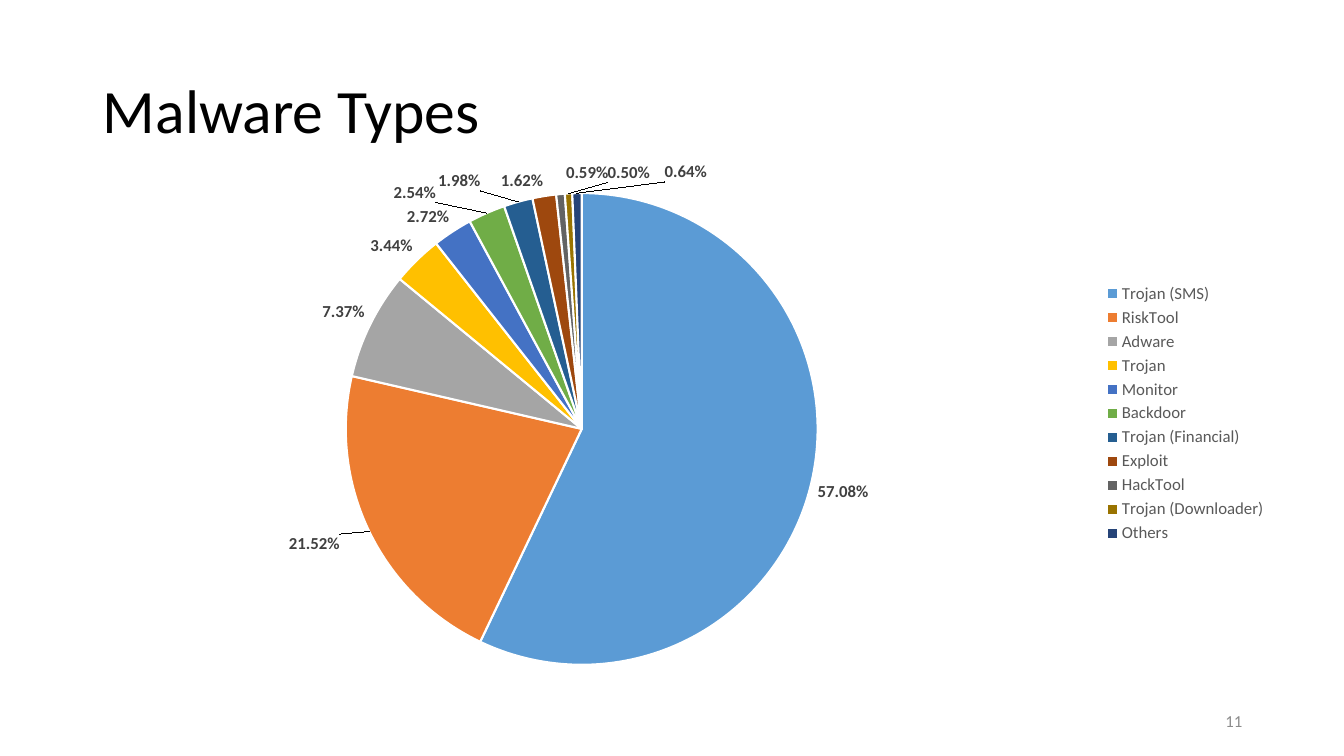
"""Build the Malware Types slide with its pie chart."""
from copy import deepcopy
from lxml.etree import QName, SubElement
from pptx import Presentation
from pptx.chart.data import CategoryChartData
from pptx.dml.color import RGBColor
from pptx.enum.chart import XL_CHART_TYPE, XL_LABEL_POSITION, XL_LEGEND_POSITION
from pptx.enum.text import MSO_ANCHOR, PP_ALIGN
from pptx.oxml.ns import qn
from pptx.util import Inches, Pt

TITLE = "Malware Types"
PAGE = "11"
FACE = "Calibri"
TYPES = [
    ("Trojan (SMS)", 57.08, "5B9BD5"),
    ("RiskTool", 21.52, "ED7D31"),
    ("Adware", 7.37, "A5A5A5"),
    ("Trojan", 3.44, "FFC000"),
    ("Monitor", 2.72, "4472C4"),
    ("Backdoor", 2.54, "70AD47"),
    ("Trojan (Financial)", 1.98, "255E91"),
    ("Exploit", 1.62, "9E480E"),
    ("HackTool", 0.59, "636363"),
    ("Trojan (Downloader)", 0.5, "997300"),
    ("Others", 0.64, "264478"),
]
SHIFTS = {1: (-0.02, 0), 5: (-0.04, -0.01), 6: (-0.03, -0.01),
          8: (0.04, -0.01), 9: (0.05, -0.01), 10: (0.09, -0.01)}
PLOT = {"x": 0.23, "y": 0.08, "w": 0.39, "h": 0.9}


def tint(code):
    return RGBColor.from_string(code)


def style(font, size, code, bold=False):
    font.name, font.size, font.bold = FACE, Pt(size), bold
    font.color.rgb = tint(code)


def write(shape, text, size, code, align):
    frame = shape.text_frame
    frame.word_wrap = True
    frame.vertical_anchor = MSO_ANCHOR.MIDDLE
    para = frame.paragraphs[0]
    para.alignment = align
    run = para.add_run()
    run.text = text
    style(run.font, size, code)
    return para


def add(parent, tag, val=None):
    node = SubElement(parent, qn("c:" + tag))
    if val is not None:
        node.set("val", str(val))
    return node


def place(plot):
    layout = plot.find(qn("c:layout"))
    if layout is not None:
        plot.remove(layout)
    layout = add(plot, "layout")
    plot.insert(0, layout)
    man = add(layout, "manualLayout")
    add(man, "layoutTarget", "inner")
    for mode in ("xMode", "yMode"):
        add(man, mode, "edge")
    for key, val in PLOT.items():
        add(man, key, val)


def shift(root):
    lead = root.find(qn("c:showLeaderLines"))
    if lead is None:
        lead = add(root, "showLeaderLines")
    lead.set("val", "1")
    base = [node for node in root if node is not lead]
    for spot, (idx, move) in enumerate(SHIFTS.items()):
        label = add(root, "dLbl")
        root.insert(spot, label)
        add(label, "idx", idx)
        man = add(add(label, "layout"), "manualLayout")
        for key, val in zip("xy", move):
            add(man, key, val)
        for node in base:
            if QName(node).localname != "dLbl":
                label.append(deepcopy(node))


def draw(slide):
    data = CategoryChartData()
    data.categories = [name for name, _, _ in TYPES]
    data.add_series("Series 1", [val for _, val, _ in TYPES])
    chart = slide.shapes.add_chart(
        XL_CHART_TYPE.PIE, Inches(0.67), Inches(1.5), Inches(12), Inches(5.2), data).chart
    style(chart.font, 10, "000000")
    chart.has_title = False
    chart.has_legend = True
    chart.legend.position = XL_LEGEND_POSITION.RIGHT
    chart.legend.include_in_layout = False
    style(chart.legend.font, 12, "595959")
    pie = chart.plots[0]
    pie.vary_by_categories = True
    series = pie.series[0]
    for idx, (_, _, code) in enumerate(TYPES):
        form = series.points[idx].format
        form.fill.solid()
        form.fill.fore_color.rgb = tint(code)
        form.line.color.rgb = tint("FFFFFF")
        form.line.width = Pt(1.5)
    labels = series.data_labels
    labels.show_value = False
    labels.show_percentage = True
    labels.number_format = "0.00%"
    labels.number_format_is_linked = False
    labels.position = XL_LABEL_POSITION.OUTSIDE_END
    style(labels.font, 12, "404040", True)
    shift(series._element.find(qn("c:dLbls")))
    place(chart._chartSpace.find(".//" + qn("c:plotArea")))


def main():
    deck = Presentation()
    deck.slide_width, deck.slide_height = Inches(13.33), Inches(7.5)
    slide = deck.slides.add_slide(deck.slide_layouts[5])
    title = slide.shapes.title
    title.left, title.top = Inches(0.92), Inches(0.4)
    title.width, title.height = Inches(11.5), Inches(1.45)
    write(title, TITLE, 44, "000000", PP_ALIGN.LEFT).line_spacing = 0.9
    box = slide.shapes.add_textbox(Inches(9.42), Inches(6.95), Inches(3), Inches(0.4))
    write(box, PAGE, 12, "8C8C8C", PP_ALIGN.RIGHT)
    draw(slide)
    deck.save("out.pptx")


if __name__ == "__main__":
    main()
